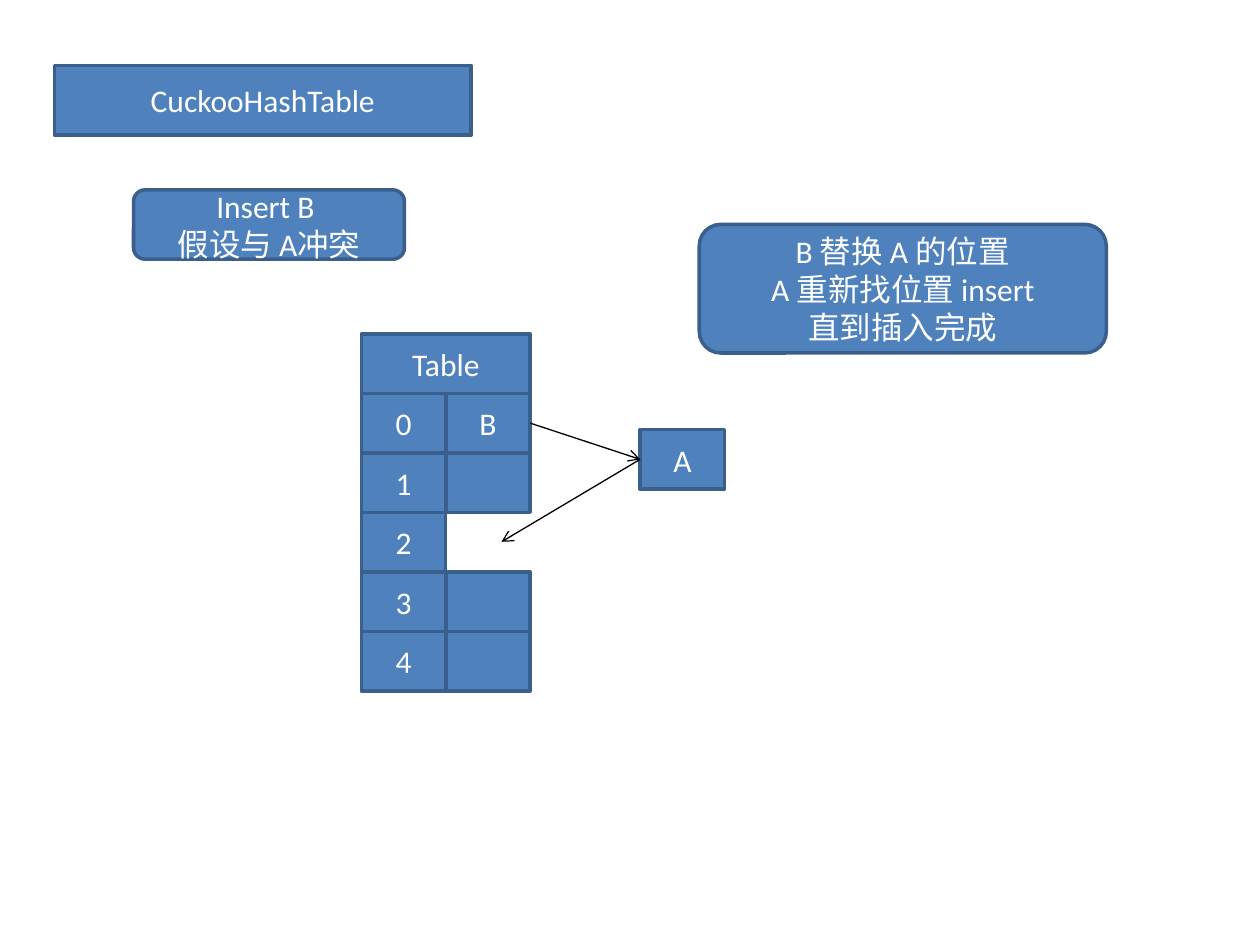
from pptx import Presentation
from pptx.dml.color import RGBColor
from pptx.enum.shapes import MSO_CONNECTOR as Connector, MSO_SHAPE as Shape
from pptx.enum.text import MSO_ANCHOR as Anchor, MSO_AUTO_SIZE as AutoSize, PP_ALIGN as Align
from pptx.oxml.ns import qn
from pptx.util import Pt
from lxml.etree import SubElement

CELL_WIDTH, CELL_HEIGHT = 48.25, 34
TABLE_LEFT, TABLE_TOP = 206.5, 190.8
RIGHT_CELLS = ["B", "", None, "", ""]
LEFT_SIDE, RIGHT_SIDE = 1, 3


def color(value):
    return RGBColor.from_string(value)


def apply(target, values):
    for name, value in values.items():
        setattr(target, name, value)


class Sketch:
    fill = "4F81BD"
    border = "3A5F8C"
    arrow_color = "000000"
    text_color = "FFFFFF"
    font = {"name": "Calibri", "size": Pt(18), "bold": False}
    frame = {"word_wrap": True, "auto_size": AutoSize.NONE, "vertical_anchor": Anchor.MIDDLE}

    def __init__(self, page):
        self.page = page

    def format_box(self, box, lines):
        box.fill.solid()
        box.fill.fore_color.rgb = color(self.fill)
        box.line.color.rgb = color(self.border)
        box.line.width = Pt(2)
        apply(box.text_frame, self.frame)
        for index, line in enumerate(lines):
            para = box.text_frame.add_paragraph() if index else box.text_frame.paragraphs[0]
            para.alignment = Align.CENTER
            if line:
                span = para.add_run()
                span.text = line
                apply(span.font, self.font)
                span.font.color.rgb = color(self.text_color)

    def title(self, text, left, top, width, height):
        box = self.page.shapes.title
        apply(box, {"left": Pt(left), "top": Pt(top), "width": Pt(width), "height": Pt(height)})
        self.format_box(box, [text])

    def box(self, lines, left, top, width, height, kind=Shape.RECTANGLE):
        box = self.page.shapes.add_shape(kind, Pt(left), Pt(top), Pt(width), Pt(height))
        box.shadow.inherit = False
        self.format_box(box, lines)
        return box

    def note(self, lines, left, top, width, height):
        return self.box(lines, left, top, width, height, Shape.ROUNDED_RECTANGLE)

    def arrow(self, source, side, target=None, end=(0, 0)):
        line = self.page.shapes.add_connector(Connector.STRAIGHT, 0, 0, Pt(end[0]), Pt(end[1]))
        line.begin_connect(source, side)
        if target is not None:
            line.end_connect(target, LEFT_SIDE)
        line.line.color.rgb = color(self.arrow_color)
        line.line.width = Pt(0.75)
        SubElement(line.line._get_or_add_ln(), qn("a:tailEnd"), type="arrow")
        SubElement(line._element.spPr, qn("a:effectLst"))


def main():
    deck = Presentation()
    apply(deck, {"slide_width": Pt(720), "slide_height": Pt(540)})
    sketch = Sketch(deck.slides.add_slide(deck.slide_layouts[5]))

    sketch.title("CuckooHashTable", 31, 37.5, 238.3, 39.6)
    sketch.box(["Table"], TABLE_LEFT, TABLE_TOP, 2 * CELL_WIDTH, CELL_HEIGHT)
    cells = {}
    for row, value in enumerate(RIGHT_CELLS):
        for column, text in enumerate([str(row), value]):
            if text is not None:
                left = TABLE_LEFT + column * CELL_WIDTH
                top = TABLE_TOP + (row + 1) * CELL_HEIGHT
                cells[row, column] = sketch.box([text], left, top, CELL_WIDTH, CELL_HEIGHT)
    evicted = sketch.box(["A"], 365.8, 245.5, CELL_WIDTH, CELL_HEIGHT)

    sketch.note(["Insert B ", "假设与 A冲突"], 76.3, 108.5, 154.8, 39.6)
    sketch.arrow(cells[0, 1], RIGHT_SIDE, evicted)
    sketch.arrow(evicted, LEFT_SIDE, end=(286.6, 309.6))
    sketch.note(["B 替换 A 的位置", "A 重新找位置 insert", "直到插入完成"], 399.6, 128.2, 232.6, 73.5)

    deck.save("out.pptx")


if __name__ == "__main__":
    main()
